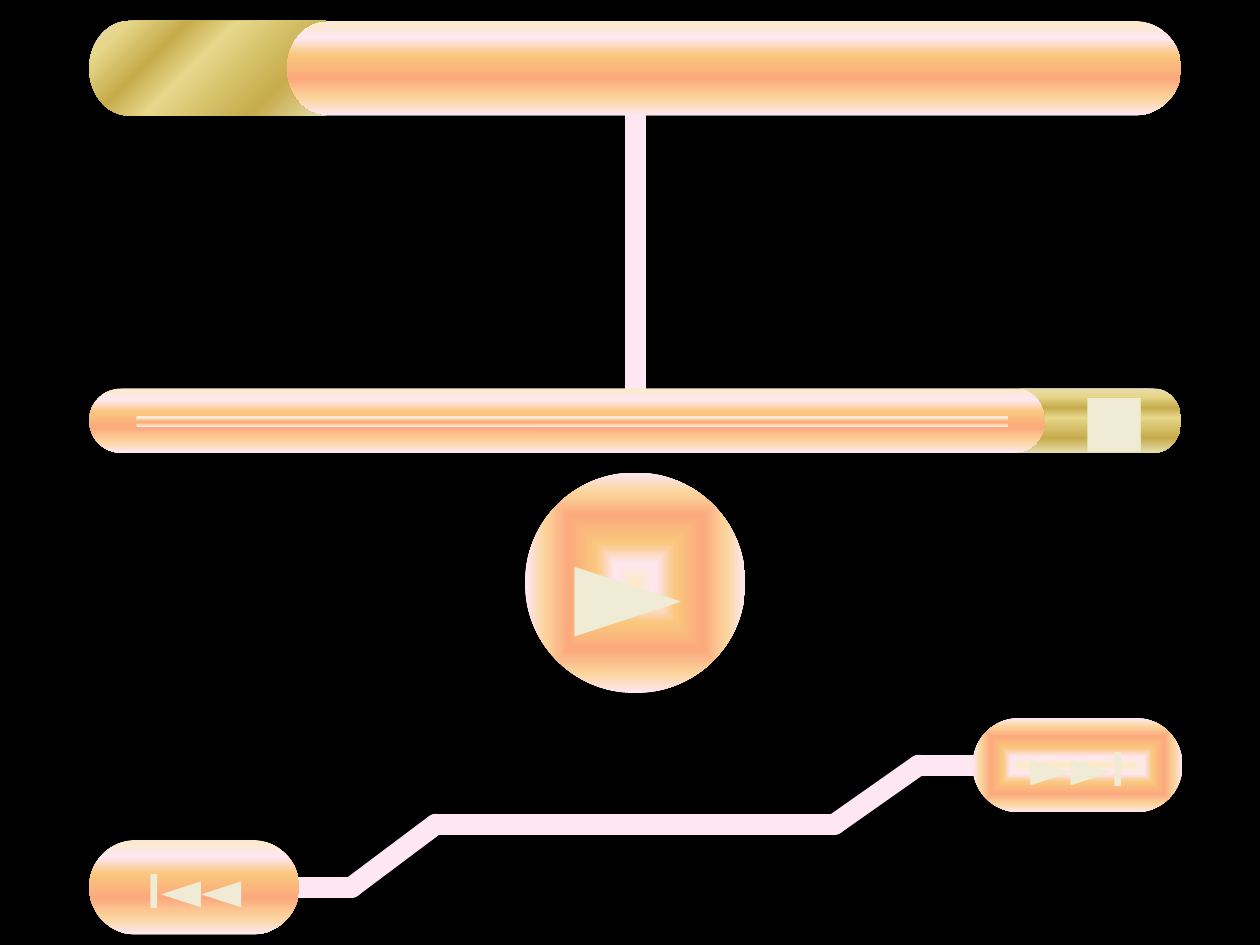
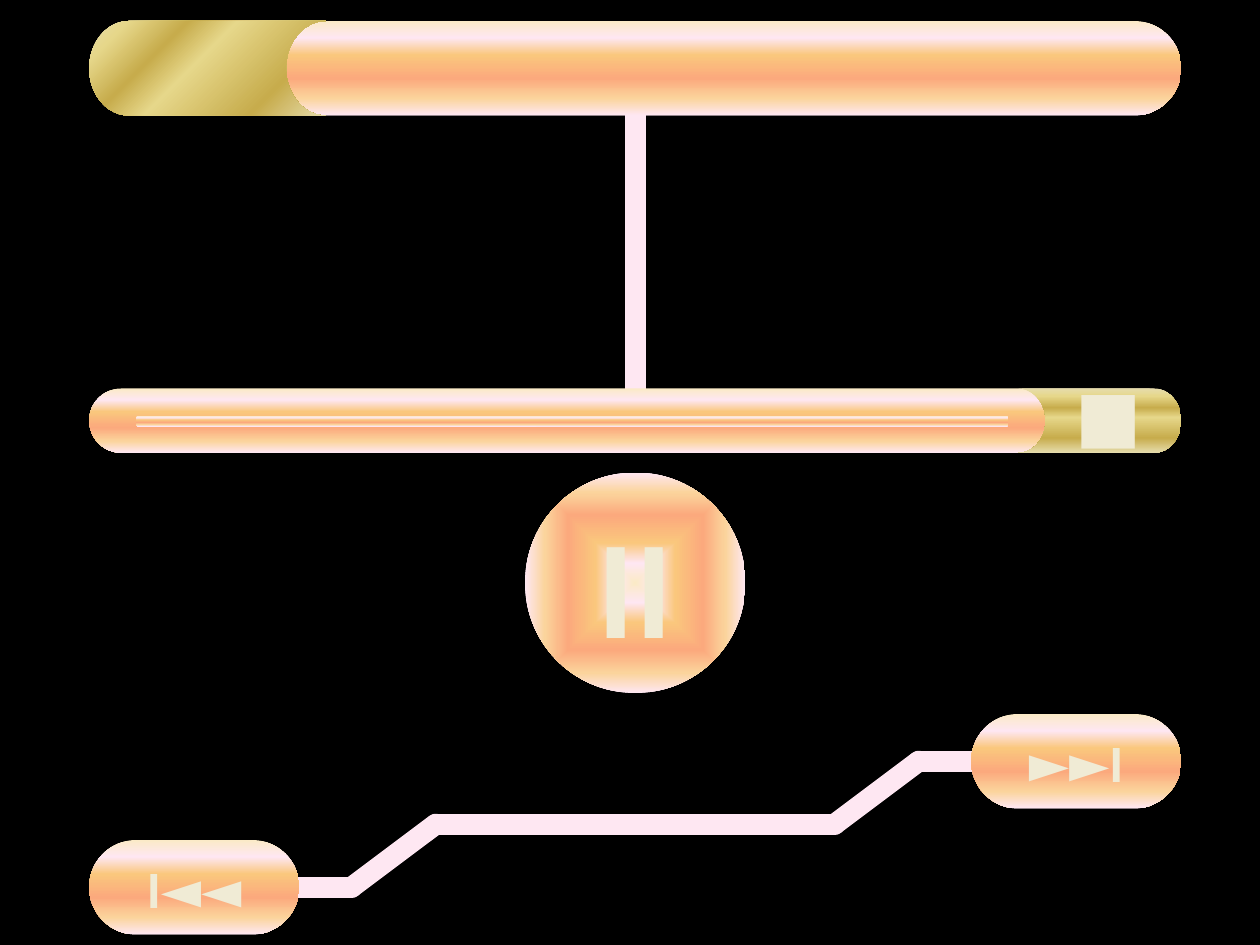
import lxml.etree
import pptx
import pptx.dml.color
import pptx.enum.shapes
import pptx.enum.text
import pptx.oxml.ns
import pptx.util

RGB = pptx.dml.color.RGBColor
SHAPE = pptx.enum.shapes.MSO_SHAPE
ALIGN = pptx.enum.text.PP_ALIGN
qn = pptx.oxml.ns.qn

PX = pptx.util.Inches(1) // 96
BLACK = RGB(0x00, 0x00, 0x00)
CREAM = RGB(0xFB, 0xEA, 0xC7)
PINK = RGB(0xFE, 0xE7, 0xF2)
AMBER = RGB(0xFA, 0xC7, 0x7D)
CORAL = RGB(0xFB, 0xA9, 0x7D)
PEACH = RGB(0xFB, 0xD4, 0x9C)
PALE_GOLD = RGB(0xE6, 0xDC, 0xAC)
GOLD = RGB(0xE6, 0xD7, 0x8A)
DARK_GOLD = RGB(0xC7, 0xAC, 0x4C)
IVORY = RGB(0xFF, 0xEF, 0xD1)
BONE = RGB(0xF0, 0xEB, 0xD5)
SAND = RGB(0xD1, 0xC3, 0x9F)

SUNSET = [(0, CREAM), (18, PINK), (36, AMBER), (61, CORAL), (82, PEACH), (100, PINK)]
BRASS = [(0, PALE_GOLD), (12, GOLD), (30, DARK_GOLD), (45, GOLD), (77, DARK_GOLD), (100, PALE_GOLD)]
IVORIES = [(0, IVORY), (65, BONE), (100, SAND)]
FROM_CENTRE = None
BAR_LEFT, BAR_WIDTH = 68, 832
PILL = (160, 72)


def paint(fill, stops, angle):
    """Replace a fill by a gradient, linear at an angle or from the centre."""
    fill.solid()
    gradient = lxml.etree.Element(qn("a:gradFill"), rotWithShape="1")
    stop_list = lxml.etree.SubElement(gradient, qn("a:gsLst"))
    for percent, colour in stops:
        stop = lxml.etree.SubElement(stop_list, qn("a:gs"), pos=str(percent * 1000))
        lxml.etree.SubElement(stop, qn("a:srgbClr"), val=str(colour))
    if angle is FROM_CENTRE:
        spread = lxml.etree.SubElement(gradient, qn("a:path"), path="shape")
        lxml.etree.SubElement(spread, qn("a:fillToRect"), {side: "50000" for side in "ltrb"})
    else:
        lxml.etree.SubElement(gradient, qn("a:lin"), ang=str(angle * 60000), scaled="0")
    parent = fill._xPr
    parent.replace(parent.find(qn("a:solidFill")), gradient)


def write(shape, text, size=30, bold=False, angle=90, align=ALIGN.CENTER, insets=(10, 5, 10, 5)):
    """Put a gradient-coloured symbol into a shape."""
    frame = shape.text_frame
    frame.margin_left, frame.margin_top, frame.margin_right, frame.margin_bottom = (
        inset * PX for inset in insets)
    frame.vertical_anchor = pptx.enum.text.MSO_ANCHOR.MIDDLE
    paragraph = frame.paragraphs[0]
    paragraph.alignment = align
    run = paragraph.add_run()
    run.text = text
    run.font.name = "Calibri"
    run.font.size = pptx.util.Pt(size)
    run.font.bold = bold
    paint(run.font.fill, IVORIES, angle)


class Player:
    """Draw the parts of a media player on the current slide."""

    def __init__(self, deck):
        self.deck = deck

    def new_slide(self):
        """Start a black slide."""
        self.slide = self.deck.slides.add_slide(self.deck.slide_layouts[6])
        self.slide.background.fill.solid()
        self.slide.background.fill.fore_color.rgb = BLACK
        self.ungroup()

    def group(self):
        """Collect the next elements in a group."""
        self.shapes = self.slide.shapes.add_group_shape().shapes

    def ungroup(self):
        """Place the next elements directly on the slide."""
        self.shapes = self.slide.shapes

    def shape(self, kind, left, top, width, height, stops=SUNSET, angle=90, round_ends=False):
        """Add a preset shape with a gradient and no outline."""
        shape = self.shapes.add_shape(kind, left * PX, top * PX, width * PX, height * PX)
        shape.shadow.inherit = False
        shape.line.fill.background()
        paint(shape.fill, stops, angle)
        if round_ends:
            shape.adjustments[0] = 0.5
        return shape

    def bar(self, left, top, width, height, angle=90):
        """Add a bar with fully rounded ends."""
        return self.shape(SHAPE.ROUNDED_RECTANGLE, left, top, width, height, angle=angle, round_ends=True)

    def pipe(self, start, end):
        """Add a thick straight connector."""
        pipe = self.shapes.add_connector(
            pptx.enum.shapes.MSO_CONNECTOR.STRAIGHT, *(value * PX for value in start + end))
        pipe.line.width = pptx.util.Pt(12)
        paint(pipe.line.fill, SUNSET, 90)
        pipe.line._get_or_add_ln().set("cap", "rnd")
        lxml.etree.SubElement(pipe._element.spPr, qn("a:effectLst"))
        return pipe

    def screen(self, **stop_format):
        """Add the title bar, the progress bar and the stop button."""
        self.group()
        middle = BAR_LEFT + BAR_WIDTH // 2
        stem = self.pipe((middle, 88), (middle, 296))
        title_bar = self.bar(BAR_LEFT, 16, BAR_WIDTH, 72)
        progress_bar = self.bar(BAR_LEFT, 296, BAR_WIDTH, 49)
        stem.begin_connect(title_bar, 2)
        stem.end_connect(progress_bar, 0)
        self.shape(SHAPE.FLOWCHART_STORED_DATA, BAR_LEFT, 16, 180, 72, BRASS, 45)
        stop_button = self.shape(SHAPE.FLOWCHART_STORED_DATA, 776, 296, 124, 49, BRASS)
        stop_button._element.spPr.find(qn("a:xfrm")).set("flipH", "1")
        write(stop_button, "■", size=40, **stop_format)
        self.shape(SHAPE.ROUNDED_RECTANGLE, 104, 317, 664, 8)
        self.ungroup()

    def main_button(self, symbol, **symbol_format):
        """Add the round button."""
        button = self.shape(SHAPE.OVAL, 400, 360, 168, 168, angle=FROM_CENTRE)
        write(button, symbol, size=80, **symbol_format)

    def skip_buttons(self, next_left, next_top, next_angle):
        """Add the back and forward buttons and the pipe between them."""
        self.group()
        next_middle = next_top + PILL[1] // 2
        bends = [(228, 676), (268, 676), (332, 628), (636, 628),
                 (700, next_middle), (next_left, next_middle)]
        pipes = [self.pipe(start, end) for start, end in zip(bends, bends[1:])]
        forward = self.bar(next_left, next_top, *PILL, angle=next_angle)
        write(forward, "►►I", bold=True, angle=next_angle)
        back = self.bar(BAR_LEFT, 640, *PILL)
        write(back, "I◄◄", bold=True)
        pipes[0].begin_connect(back, 3)
        pipes[-1].end_connect(forward, 1)
        self.ungroup()


def main():
    """Build the play and pause slides."""
    deck = pptx.Presentation()
    deck.slide_width, deck.slide_height = 960 * PX, 720 * PX
    player = Player(deck)

    player.new_slide()
    player.screen(angle=180, insets=(27, 4, 10, 12))
    player.main_button("►", align=ALIGN.LEFT, insets=(27, 5, 106, 5))
    player.skip_buttons(741, 547, FROM_CENTRE)

    player.new_slide()
    player.screen(insets=(23, 0, 10, 12))
    player.main_button("II", bold=True, angle=45, insets=(0, 0, 0, 0))
    player.skip_buttons(740, 544, 90)

    deck.save("out.pptx")


if __name__ == "__main__":
    main()
